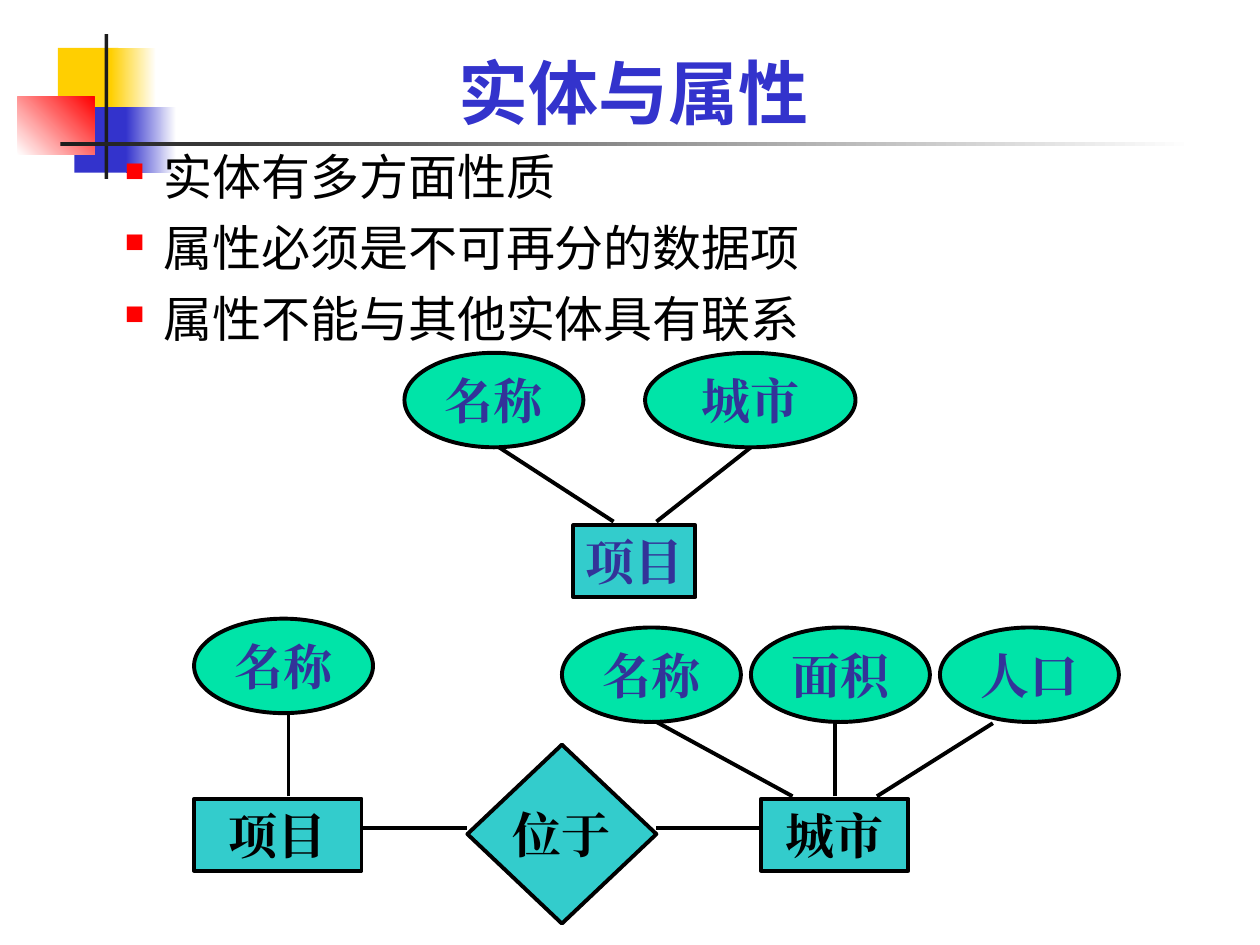
from typing import NamedTuple, Optional

from lxml.etree import SubElement
from pptx import Presentation
from pptx.dml.color import RGBColor
from pptx.enum.shapes import MSO_CONNECTOR, MSO_SHAPE as SHAPE
from pptx.enum.text import MSO_ANCHOR as ANCHOR, PP_ALIGN as ALIGN
from pptx.oxml.ns import qn
from pptx.util import Inches, Pt

BLACK = RGBColor(0, 0, 0)
WHITE = RGBColor(0xFF, 0xFF, 0xFF)
CHARCOAL = RGBColor(0x1C, 0x1C, 0x1C)
YELLOW = RGBColor(0xFF, 0xCF, 0x01)
RED = RGBColor(0xFF, 0, 0)
BLUE = RGBColor(0x33, 0x33, 0xCC)
INDIGO = RGBColor(0x33, 0x33, 0x99)
TEAL = RGBColor(0x33, 0xCC, 0xCC)
GREEN = RGBColor(0, 0xE4, 0xA8)

CJK = "Noto Sans CJK SC"
SERIF = "Times New Roman"
OVAL_W, OVAL_H = 1.42, 0.75
BOX_H = 0.57
OVAL_STEP = 1.5  # column pitch of the city's attributes
LINE_W = Pt(2.25)


class Block(NamedTuple):
    """Decorative rectangle; with an end colour it fades along the angle."""
    box: tuple
    color: RGBColor
    end: Optional[RGBColor] = None
    angle: int = 0


class Node(NamedTuple):
    text: str
    kind: SHAPE
    box: tuple
    fill: RGBColor
    color: RGBColor


def attribute(text: str, x: float, y: float, w: float = OVAL_W) -> Node:
    return Node(text, SHAPE.OVAL, (x, y, w, OVAL_H), GREEN, INDIGO)


def entity(text: str, x: float, y: float, w: float, color=BLACK) -> Node:
    return Node(text, SHAPE.RECTANGLE, (x, y, w, BOX_H), TEAL, color)


BLOCKS = [
    Block((0.46, 0.38, 0.48, 0.52), YELLOW),
    Block((0.88, 0.38, 0.36, 0.52), YELLOW, WHITE),
    Block((0.59, 0.85, 0.46, 0.52), BLUE),
    Block((1.0, 0.85, 0.4, 0.52), BLUE, WHITE),
    Block((0.14, 0.77, 0.61, 0.46), WHITE, RED, 45),
    Block((0.83, 0.27, 0.03, 1.15), CHARCOAL),
    Block((0.48, 1.13, 9, 0.03), CHARCOAL, WHITE),
]
BULLETS = ["实体有多方面性质", "属性必须是不可再分的数据项", "属性不能与其他实体具有联系"]
NODES = [
    entity("项目", 4.55, 4.17, 0.97, INDIGO),
    attribute("名称", 3.21, 2.8),
    attribute("城市", 5.12, 2.8, 1.67),
    entity("项目", 1.54, 6.34, 1.33),
    entity("城市", 6.04, 6.34, 1.17),
    Node("位于", SHAPE.DIAMOND, (3.71, 5.91, 1.5, 1.42), TEAL, BLACK),
    attribute("名称", 1.54, 4.91),
    *(attribute(text, 4.46 + i * OVAL_STEP, 4.98)
      for i, text in enumerate(["名称", "面积", "人口"])),
]
LINKS = [
    ((5.96, 3.55), (5.21, 4.14)),
    ((4.87, 4.14), (3.96, 3.55)),
    ((2.88, 6.57), (3.71, 6.57)),
    ((5.21, 6.57), (6.04, 6.57)),
    ((2.29, 6.32), (2.29, 5.66)),
    ((6.29, 6.32), (5.21, 5.73)),
    ((6.63, 6.32), (6.63, 5.74)),
    ((6.96, 6.32), (7.88, 5.74)),
]


def write(p, text: str, *, size=28, font=CJK, color=BLACK, bold=False,
          align=ALIGN.CENTER) -> None:
    p.alignment = align
    r = p.add_run()
    r.text = text
    r.font.size, r.font.bold, r.font.name = Pt(size), bold, font
    r.font.color.rgb = color
    SubElement(r._r.get_or_add_rPr(), qn("a:ea")).set("typeface", font)


def add_bullet(p) -> None:
    """Give the paragraph a small red square and a hanging indent."""
    pPr = p._p.get_or_add_pPr()
    pPr.set("marL", str(Inches(0.81)))
    pPr.set("indent", str(Inches(-0.31)))
    color = SubElement(pPr, qn("a:buClr"))
    SubElement(color, qn("a:srgbClr")).set("val", str(RED))
    SubElement(pPr, qn("a:buSzPct")).set("val", "55000")
    SubElement(pPr, qn("a:buChar")).set("char", "■")


def add_block(slide, block: Block) -> None:
    sp = slide.shapes.add_shape(SHAPE.RECTANGLE, *map(Inches, block.box))
    sp.shadow.inherit = False
    sp.line.fill.background()
    if block.end is None:
        sp.fill.solid()
        sp.fill.fore_color.rgb = block.color
        return
    sp.fill.gradient()
    sp.fill.gradient_angle = block.angle
    for stop, color in zip(sp.fill.gradient_stops, (block.color, block.end)):
        stop.color.rgb = color


def add_node(slide, node: Node) -> None:
    sp = slide.shapes.add_shape(node.kind, *map(Inches, node.box))
    sp.shadow.inherit = False
    sp.fill.solid()
    sp.fill.fore_color.rgb = node.fill
    sp.line.color.rgb, sp.line.width = BLACK, LINE_W
    tf = sp.text_frame
    tf.word_wrap, tf.vertical_anchor = False, ANCHOR.MIDDLE
    write(tf.paragraphs[0], node.text, font=SERIF, color=node.color, bold=True)


def add_link(slide, start: tuple, end: tuple) -> None:
    cxn = slide.shapes.add_connector(
        MSO_CONNECTOR.STRAIGHT, *map(Inches, start + end))
    cxn.line.color.rgb, cxn.line.width = BLACK, LINE_W
    SubElement(cxn._element.spPr, qn("a:effectLst"))


def add_title(slide, text: str) -> None:
    title = slide.shapes.title
    title.left, title.top, title.width, title.height = map(
        Inches, (0.39, 0.18, 9.28, 0.93))
    title.text_frame.vertical_anchor = ANCHOR.BOTTOM
    write(title.text_frame.paragraphs[0], text, size=40, color=BLUE, bold=True)


def add_body(slide, lines: list) -> None:
    tf = slide.shapes.add_textbox(
        *map(Inches, (0.39, 1.11, 9.63, 5.92))).text_frame
    tf.word_wrap = True
    for i, line in enumerate(lines):
        p = tf.add_paragraph() if i else tf.paragraphs[0]
        p.space_before = Pt(7)
        add_bullet(p)
        write(p, line, align=ALIGN.JUSTIFY)


def main() -> None:
    prs = Presentation()
    prs.slide_width, prs.slide_height = Inches(10), Inches(7.5)
    slide = prs.slides.add_slide(prs.slide_layouts[5])
    for block in BLOCKS:
        add_block(slide, block)
    add_title(slide, "实体与属性")
    add_body(slide, BULLETS)
    for node in NODES:
        add_node(slide, node)
    for start, end in LINKS:
        add_link(slide, start, end)
    prs.save("out.pptx")


if __name__ == "__main__":
    main()
